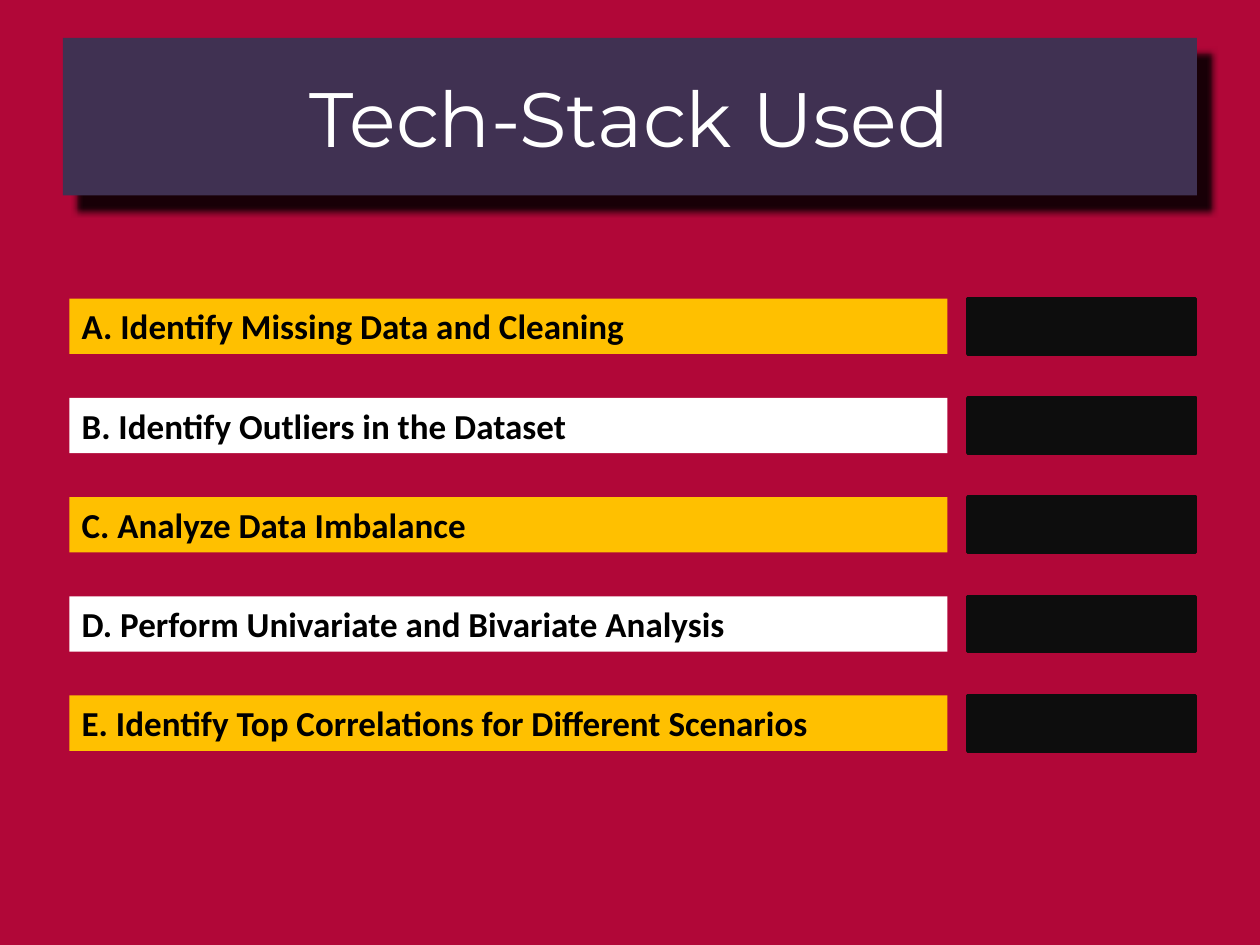
import pptx
import pptx.util
import pptx.dml.color
import pptx.enum.shapes
import pptx.enum.text
import pptx.oxml
import pptx.oxml.ns

Inches, Pt = pptx.util.Inches, pptx.util.Pt
KIND = pptx.enum.shapes.MSO_SHAPE
ALIGN = pptx.enum.text.PP_ALIGN
ANCHOR = pptx.enum.text.MSO_ANCHOR
FIT = pptx.enum.text.MSO_AUTO_SIZE

COLORS = {
    "back": "B10738",
    "title": "403152",
    "gold": "FFC000",
    "white": "FFFFFF",
    "black": "000000",
    "tag": "0D0D0D",
}
TASKS = [
    "A. Identify Missing Data and Cleaning",
    "B. Identify Outliers in the Dataset",
    "C. Analyze Data Imbalance",
    "D. Perform Univariate and Bivariate Analysis",
    "E. Identify Top Correlations for Different Scenarios",
]


def color(name):
    return pptx.dml.color.RGBColor.from_string(COLORS[name])


def add_box(shapes, kind, box, fill):
    """Add a flat filled shape without line or shadow."""
    shape = shapes.add_shape(kind, *map(Inches, box))
    shape.shadow.inherit = False
    shape.fill.solid()
    shape.fill.fore_color.rgb = color(fill)
    shape.line.fill.background()
    return shape


def write(shape, text, face, size, ink, align, bold=False):
    frame = shape.text_frame
    frame.word_wrap = True
    para = frame.paragraphs[0]
    para.text = text
    para.alignment = align
    para.font.name = face
    para.font.size = Pt(size)
    para.font.bold = bold
    para.font.color.rgb = color(ink)
    return frame


def cast_shadow(shape):
    effects = shape._element.spPr.find(pptx.oxml.ns.qn("a:effectLst"))
    effects.append(pptx.oxml.parse_xml(
        f'<a:outerShdw {pptx.oxml.ns.nsdecls("a")} blurRad="{Pt(4)}"'
        f' dist="{Pt(12)}" dir="{45 * 60000}" algn="tl" rotWithShape="0">'
        f'<a:srgbClr val="{COLORS["black"]}"><a:alpha val="86000"/></a:srgbClr>'
        '</a:outerShdw>'))


def add_title(slide, box, text):
    shape = add_box(slide.shapes, KIND.ROUNDED_RECTANGLE, box, "title")
    shape.adjustments[0] = 0
    cast_shadow(shape)
    frame = write(shape, text, "Montserrat", 44, "white", ALIGN.CENTER)
    frame.vertical_anchor = ANCHOR.MIDDLE


def add_task(slide, box, text, fill):
    """Add one row: a label bar and a dark tag at its right end."""
    left, top, width, height = box
    tag_w, gap = 1.81, 0.16
    shapes = slide.shapes.add_group_shape().shapes

    bar = add_box(shapes, KIND.RECTANGLE,
                  (left, top, width - tag_w - gap, height), fill)
    frame = write(bar, text, "Calibri", 20, "black", ALIGN.LEFT, bold=True)
    frame.vertical_anchor = ANCHOR.TOP
    frame.auto_size = FIT.SHAPE_TO_FIT_TEXT

    tag = add_box(shapes, KIND.RECTANGLE,
                  (left + width - tag_w, top, tag_w, height), "tag")
    tag.line.color.rgb = color("tag")
    tag.line.width = Pt(2)


def add_tasks(slide, box, tasks):
    left, top, width, height = box
    row_h = 0.44
    step = (height - row_h) / (len(tasks) - 1)
    for i, text in enumerate(tasks):
        fill = "white" if i % 2 else "gold"
        add_task(slide, (left, top + i * step, width, row_h), text, fill)


def main():
    deck = pptx.Presentation()
    deck.slide_width, deck.slide_height = Inches(10), Inches(7.5)
    slide = deck.slides.add_slide(deck.slide_layouts[6])
    slide.background.fill.solid()
    slide.background.fill.fore_color.rgb = color("back")
    add_title(slide, (0.5, 0.3, 9, 1.25), "Tech-Stack Used")
    add_tasks(slide, (0.55, 2.37, 8.94, 3.59), TASKS)
    deck.save("out.pptx")


if __name__ == "__main__":
    main()
